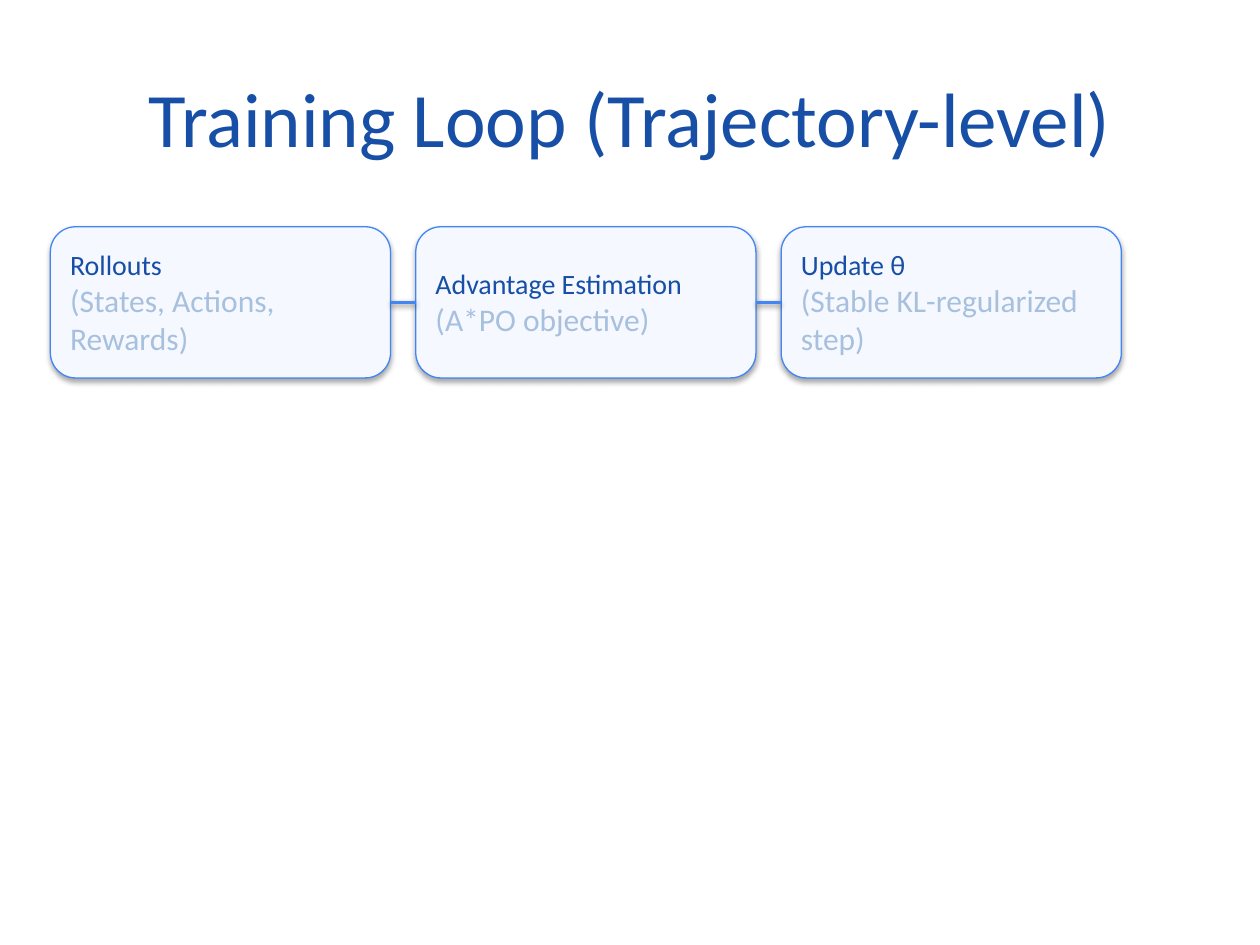
"""Build the training loop slide: a title above three connected steps."""
import pptx
import pptx.dml.color
import pptx.enum.shapes
import pptx.enum.text
import pptx.util

TITLE = "Training Loop (Trajectory-level)"
STEPS = [
    ("Rollouts", "(States, Actions, Rewards)"),
    ("Advantage Estimation", "(A*PO objective)"),
    ("Update θ", "(Stable KL-regularized step)"),
]
COLORS = {"heading": "174EA6", "detail": "A7C0DE", "accent": "4285F4", "card": "F5F8FF"}
FONT = "Calibri"
EMU_PER_PX = 9144
SLIDE_SIZE = (1000, 750)
TITLE_BOX = (50, 30, 900, 125)
CARD_LEFT, CARD_TOP, CARD_WIDTH, CARD_HEIGHT, CARD_GAP = 40, 180, 270, 120, 20
RIGHT_SIDE, LEFT_SIDE = 3, 1


def px(*lengths):
    return [pptx.util.Emu(length * EMU_PER_PX) for length in lengths]


def color(name):
    return pptx.dml.color.RGBColor.from_string(COLORS[name])


def format_paragraph(paragraph, size, color_name, alignment):
    paragraph.alignment = alignment
    for run in paragraph.runs:
        run.font.name = FONT
        run.font.size = pptx.util.Pt(size)
        run.font.color.rgb = color(color_name)


def add_title(slide):
    text_frame = slide.shapes.add_textbox(*px(*TITLE_BOX)).text_frame
    text_frame.word_wrap = True
    text_frame.vertical_anchor = pptx.enum.text.MSO_ANCHOR.MIDDLE
    text_frame.text = TITLE
    format_paragraph(text_frame.paragraphs[0], 44, "heading", pptx.enum.text.PP_ALIGN.CENTER)


def add_card(slide, index, step):
    left = CARD_LEFT + index * (CARD_WIDTH + CARD_GAP)
    card = slide.shapes.add_shape(
        pptx.enum.shapes.MSO_SHAPE.ROUNDED_RECTANGLE,
        *px(left, CARD_TOP, CARD_WIDTH, CARD_HEIGHT),
    )
    card.fill.solid()
    card.fill.fore_color.rgb = color("card")
    card.line.color.rgb = color("accent")
    card.line.width = pptx.util.Pt(0.75)
    text_frame = card.text_frame
    text_frame.word_wrap = True
    text_frame.vertical_anchor = pptx.enum.text.MSO_ANCHOR.MIDDLE
    text_frame.text = "\n".join(step)
    styles = [(16, "heading"), (18, "detail")]
    for paragraph, (size, color_name) in zip(text_frame.paragraphs, styles):
        format_paragraph(paragraph, size, color_name, pptx.enum.text.PP_ALIGN.LEFT)
    return card


def connect(slide, first, second):
    connector = slide.shapes.add_connector(
        pptx.enum.shapes.MSO_CONNECTOR.STRAIGHT, 0, 0, 0, 0
    )
    connector.begin_connect(first, RIGHT_SIDE)
    connector.end_connect(second, LEFT_SIDE)
    connector.line.color.rgb = color("accent")
    connector.line.width = pptx.util.Pt(2)


def main():
    presentation = pptx.Presentation()
    presentation.slide_width, presentation.slide_height = px(*SLIDE_SIZE)
    slide = presentation.slides.add_slide(presentation.slide_layouts[6])
    add_title(slide)
    cards = [add_card(slide, index, step) for index, step in enumerate(STEPS)]
    for first, second in zip(cards, cards[1:]):
        connect(slide, first, second)
    presentation.save("out.pptx")


if __name__ == "__main__":
    main()
